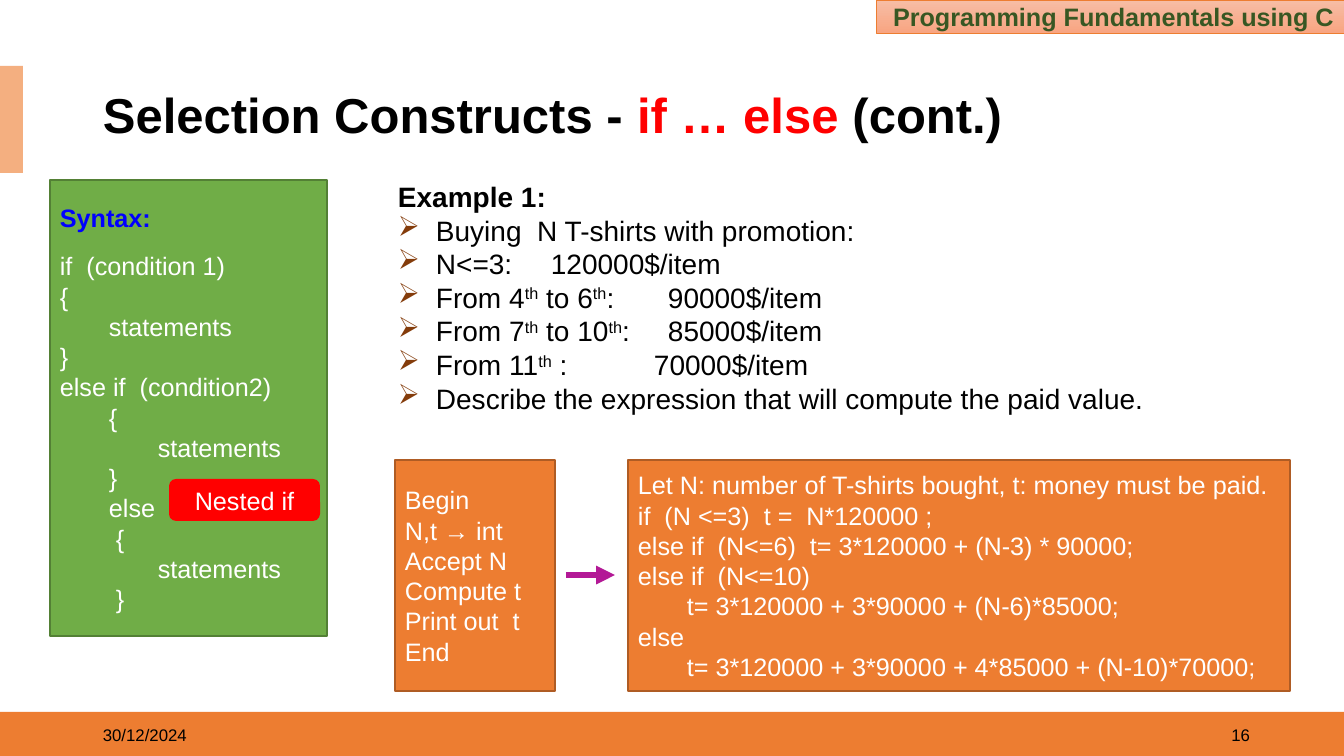
from lxml.etree import SubElement as Sub
from pptx import Presentation
from pptx.dml.color import RGBColor as RGB
from pptx.enum.shapes import MSO_CONNECTOR as LINK, MSO_SHAPE as SHAPE
from pptx.enum.text import MSO_ANCHOR as ANCHOR, PP_ALIGN as ALIGN
from pptx.oxml.ns import qn
from pptx.util import Pt

SCALE = 914400 / 100.8
WHITE = RGB(0xFF, 0xFF, 0xFF)
BLACK = RGB(0, 0, 0)
RED = RGB(0xFF, 0, 0)
BLUE = RGB(0, 0, 0xFF)
ORANGE = RGB(0xED, 0x7D, 0x31)
PEACH = RGB(0xF4, 0xAF, 0x80)
PALE = RGB(0xF7, 0xBD, 0xA5)
CORAL = RGB(0xF8, 0xA5, 0x82)
RUST = RGB(0xAF, 0x5C, 0x24)
BROWN = RGB(0x84, 0x3C, 0x0B)
GREEN = RGB(0x70, 0xAD, 0x47)
MOSS = RGB(0x53, 0x80, 0x35)
PINE = RGB(0x38, 0x57, 0x23)
PURPLE = RGB(0xB3, 0x19, 0x96)

STEP = 49
HANG = 38
SYNTAX = [
    (0, "if  (condition 1)"), (0, "{"), (STEP, "statements"), (0, "}"),
    (0, "else if  (condition2)"), (STEP, "{"), (2 * STEP, "statements"),
    (STEP, "}"), (STEP, "else"), (STEP + 7, "{"),
    (2 * STEP, "statements"), (STEP + 7, "}"),
]
PLAN = [(0, line) for line in (
    "Begin", "N,t → int", "Accept N", "Compute t", "Print out  t", "End")]
CODE = [
    (0, "Let N: number of T-shirts bought, t: money must be paid."),
    (0, "if  (N <=3)  t =  N*120000 ;"),
    (0, "else if  (N<=6)  t= 3*120000 + (N-3) * 90000;"),
    (0, "else if  (N<=10)"),
    (STEP, "t= 3*120000 + 3*90000 + (N-6)*85000;"),
    (0, "else"),
    (STEP, "t= 3*120000 + 3*90000 + 4*85000 + (N-10)*70000;"),
]
TH = ("th", {"base": 30})
RULES = [
    (None, ["Buying  N T-shirts with promotion:"]),
    (153, ["N<=3:\t120000$/item"]),
    (270, ["From 4", TH, " to 6", TH, ":\t90000$/item"]),
    (270, ["From 7", TH, " to 10", TH, ":\t85000$/item"]),
    (256, ["From 11", TH, " :\t70000$/item"]),
    (None, ["Describe the expression that will compute the paid value."]),
]


def px(size):
    return round(size * SCALE)


def put(frame, runs, size=18, color=WHITE, bold=False, align=ALIGN.LEFT,
        space=None, before=0, left=0, bullet=None, tab=None):
    para = frame.paragraphs[0]
    if para.runs:
        para = frame.add_paragraph()
    para.alignment = align
    para.line_spacing = space
    para.space_before = Pt(before)
    props = para._p.get_or_add_pPr()
    props.set("marL", str(px(left)))
    if bullet:
        props.set("indent", str(-px(left)))
        tint = Sub(props, qn("a:buClr"))
        Sub(tint, qn("a:srgbClr"), val=str(BROWN))
        Sub(props, qn("a:buChar"), char=bullet)
    if tab:
        stops = Sub(props, qn("a:tabLst"))
        Sub(stops, qn("a:tab"), pos=str(px(tab)), algn="l")
    for item in runs:
        words, form = (item, {}) if isinstance(item, str) else item
        run = para.add_run()
        run.text = words
        font = run.font
        font.name = "Arial"
        font.size = Pt(size)
        font.bold = bold
        font.color.rgb = form.get("color", color)
        if "base" in form:
            run._r.get_or_add_rPr().set("baseline", str(form["base"] * 1000))


def block(slide, box, fill, edge=None, width=1, kind=SHAPE.RECTANGLE):
    shape = slide.shapes.add_shape(kind, *map(px, box))
    shape.shadow.inherit = False
    if isinstance(fill, list):
        shape.fill.gradient()
        shape.fill.gradient_angle = 270
        for stop, color in zip(shape.fill.gradient_stops, fill):
            stop.color.rgb = color
    else:
        shape.fill.solid()
        shape.fill.fore_color.rgb = fill
    if edge is None:
        shape.line.fill.background()
    else:
        shape.line.color.rgb = edge
        shape.line.width = Pt(width)
    frame = shape.text_frame
    frame.word_wrap = True
    frame.vertical_anchor = ANCHOR.MIDDLE
    return frame


def label(slide, box, anchor=ANCHOR.MIDDLE):
    frame = slide.shapes.add_textbox(*map(px, box)).text_frame
    frame.word_wrap = True
    frame.vertical_anchor = anchor
    return frame


def header(slide, x, y, w, h):
    block(slide, (x, y + 66, 23, 107), PEACH)
    badge = block(slide, (x + w - 468, y, 468, 33), [PALE, CORAL], ORANGE, 0.5)
    put(badge, ["Programming Fundamentals using C"], color=PINE, bold=True,
        align=ALIGN.RIGHT)
    title = label(slide, (x + 93, y + 86, 1159, h - 86))
    put(title, ["Selection Constructs - ", ("if … else", {"color": RED}),
                " (cont.)"], size=35, color=BLACK, bold=True, space=0.9)


def footer(slide, x, y, w, h):
    block(slide, (x, y, w, h), ORANGE)
    date = label(slide, (x + 93, y + 3, 302, 40))
    put(date, ["30/12/2024"], size=12, color=BLACK)
    page = label(slide, (x + w - 386, y + 3, 302, 40))
    put(page, ["16"], size=12, color=BLACK, align=ALIGN.RIGHT)


def listing(frame, lines, gap=0):
    for row, (left, line) in enumerate(lines):
        put(frame, [line], left=left, space=Pt(21.6),
            before=0 if row else gap)


def syntax(slide, x, y, w, h):
    panel = block(slide, (x, y, w, h), GREEN, MOSS)
    put(panel, ["Syntax:"], color=BLUE, bold=True, space=Pt(21.6))
    listing(panel, SYNTAX, gap=13)
    tag = block(slide, (x + 119, y + 299, 151, 42), RED,
                kind=SHAPE.ROUNDED_RECTANGLE)
    put(tag, ["Nested if"], align=ALIGN.CENTER)


def example(slide, x, y, w, h):
    frame = label(slide, (x, y, w, h), ANCHOR.TOP)
    put(frame, ["Example 1:"], size=20, color=BLACK, bold=True, space=0.8)
    for tab, runs in RULES:
        put(frame, runs, size=20, color=BLACK, space=0.8, before=4.8,
            left=HANG, bullet="➢", tab=tab)


def answer(slide, x, y, w, h):
    listing(block(slide, (x, y, 160, h), ORANGE, RUST), PLAN)
    listing(block(slide, (x + 233, y, w - 233, h), ORANGE, RUST), CODE)
    mid = y + h // 2
    ends = map(px, (x + 171, mid, x + 220, mid))
    arrow = slide.shapes.add_connector(LINK.STRAIGHT, *ends)
    arrow.line.color.rgb = PURPLE
    arrow.line.width = Pt(4.5)
    props = arrow._element.spPr
    Sub(props.find(qn("a:ln")), qn("a:tailEnd"), type="triangle")
    Sub(props, qn("a:effectLst"))


def main():
    deck = Presentation()
    deck.slide_width, deck.slide_height = px(1344), px(756)
    slide = deck.slides.add_slide(deck.slide_layouts[6])
    footer(slide, 0, 712, 1344, 44)
    header(slide, 0, 0, 1344, 149)
    syntax(slide, 50, 180, 277, 456)
    example(slide, 388, 181, 810, 241)
    answer(slide, 395, 460, 895, 231)
    deck.save("out.pptx")


if __name__ == "__main__":
    main()
